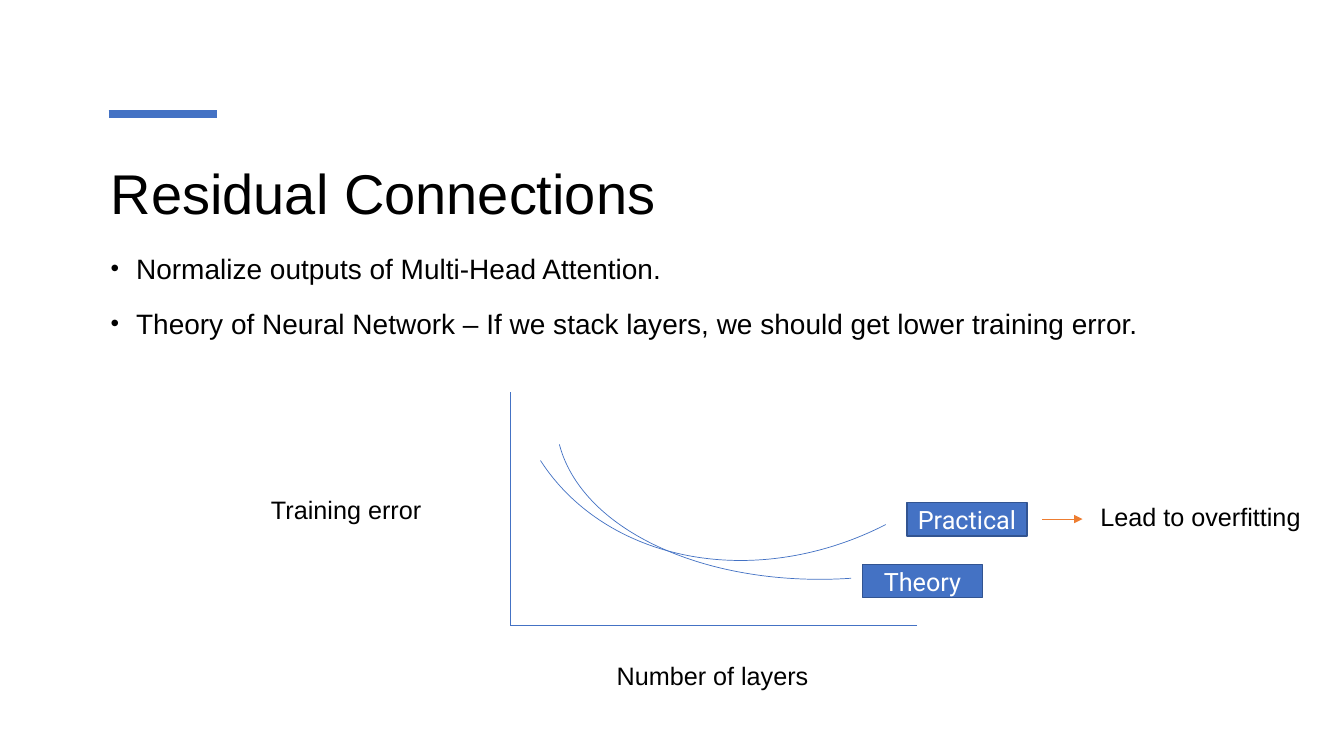
from lxml import etree
from pptx import Presentation
from pptx.dml.color import RGBColor
from pptx.enum.shapes import MSO_CONNECTOR, MSO_SHAPE
from pptx.enum.text import MSO_ANCHOR, PP_ALIGN
from pptx.oxml.ns import qn
from pptx.util import Cm, Pt

BLUE = RGBColor(0x44, 0x72, 0xC4)
DARK_BLUE = RGBColor(0x32, 0x54, 0x91)
ORANGE = RGBColor(0xED, 0x7D, 0x31)
BLACK = RGBColor(0, 0, 0)
WHITE = RGBColor(0xFF, 0xFF, 0xFF)


def add_run(paragraph, words, size, color=BLACK, font="Arial"):
    run = paragraph.add_run()
    run.text = words
    run.font.size = Pt(size)
    run.font.name = font
    run.font.color.rgb = color


def add_line(slide, x1, y1, x2, y2, color=BLUE, weight=0.5):
    line = slide.shapes.add_connector(
        MSO_CONNECTOR.STRAIGHT, Cm(x1), Cm(y1), Cm(x2), Cm(y2))
    line.line.color.rgb = color
    line.line.width = Pt(weight)
    etree.SubElement(line._element.spPr, qn("a:effectLst"))
    return line


def add_caption(slide, x, y, width, words):
    caption = slide.shapes.add_textbox(Cm(x), Cm(y), Cm(width), Cm(1.02))
    caption.text_frame.word_wrap = False
    add_run(caption.text_frame.paragraphs[0], words, 18)


def add_curve(slide, x, y, width, height, rotation):
    curve = slide.shapes.add_shape(
        MSO_SHAPE.ARC, Cm(x), Cm(y), Cm(width), Cm(height))
    curve.adjustments[0] = 162
    curve.adjustments[1] = 213.63
    curve.rotation = rotation
    curve.shadow.inherit = False
    curve.fill.background()
    curve.line.color.rgb = BLUE
    curve.line.width = Pt(0.5)


def add_curve_label(slide, x, y, words):
    label = slide.shapes.add_shape(
        MSO_SHAPE.RECTANGLE, Cm(x), Cm(y), Cm(3.02), Cm(0.84))
    label.shadow.inherit = False
    label.fill.solid()
    label.fill.fore_color.rgb = BLUE
    label.line.color.rgb = DARK_BLUE
    label.line.width = Pt(1)
    label.text_frame.vertical_anchor = MSO_ANCHOR.MIDDLE
    paragraph = label.text_frame.paragraphs[0]
    paragraph.alignment = PP_ALIGN.CENTER
    add_run(paragraph, words, 18, WHITE, "Roboto")


def build_heading(slide, left, top, width, height):
    # Accent bar above the title
    add_line(slide, left + 0.2, top - 0.94, left + 2.92, top - 0.94, weight=6)
    title = slide.shapes.title
    title.left, title.top = Cm(left), Cm(top)
    title.width, title.height = Cm(width), Cm(height)
    title.text_frame.vertical_anchor = MSO_ANCHOR.MIDDLE
    paragraph = title.text_frame.paragraphs[0]
    paragraph.alignment = PP_ALIGN.LEFT
    add_run(paragraph, "Residual Connections", 40)


def build_bullets(slide, left, top, width, height, points):
    body = slide.shapes.add_textbox(Cm(left), Cm(top), Cm(width), Cm(height))
    frame = body.text_frame
    frame.word_wrap = True
    for index, point in enumerate(points):
        paragraph = frame.add_paragraph() if index else frame.paragraphs[0]
        paragraph.line_spacing = 1.2
        paragraph.space_before = Pt(10)
        properties = paragraph._p.get_or_add_pPr()
        properties.set("marL", str(Cm(0.64)))
        properties.set("indent", str(Cm(-0.64)))
        etree.SubElement(properties, qn("a:buSzPct"), val="87000")
        etree.SubElement(properties, qn("a:buFont"), typeface="Arial")
        etree.SubElement(properties, qn("a:buChar"), char="•")
        add_run(paragraph, point, 20)


def build_error_diagram(slide, left, top):
    # Axes and their captions
    axis_x, axis_y = left + 6.27, top + 5.89
    add_line(slide, axis_x, top, axis_x, axis_y)
    add_line(slide, axis_x + 10.26, axis_y, axis_x, axis_y)
    add_caption(slide, left + 8.71, top + 6.63, 5.36, "Number of layers")
    add_caption(slide, left, top + 2.44, 4.34, "Training error")

    # Practical and theoretical error curves
    add_curve(slide, left + 6.02, top - 7.8, 14.05, 11.79, 152.8)
    add_curve(slide, left + 7.42, top - 4.01, 14.3, 8.71, 176.1)
    add_curve_label(slide, left + 15.16, top + 4.34, "Theory")
    add_curve_label(slide, left + 16.28, top + 2.79, "Practical")

    # Consequence of the practical curve
    arrow = add_line(slide, left + 19.68, top + 3.2, left + 20.7, top + 3.2, ORANGE)
    etree.SubElement(arrow.line._get_or_add_ln(), qn("a:tailEnd"), type="triangle")
    add_caption(slide, left + 20.9, top + 2.62, 5.59, "Lead to overfitting")


presentation = Presentation()
presentation.slide_width, presentation.slide_height = Cm(33.87), Cm(19.05)
slide = presentation.slides.add_slide(presentation.slide_layouts.get_by_name("Title Only"))

build_heading(slide, 2.54, 3.81, 28.78, 2.06)
build_bullets(slide, 2.54, 6.05, 28.78, 10.62, [
    "Normalize outputs of Multi-Head Attention.",
    "Theory of Neural Network – If we stack layers, we should get lower training error.",
])
build_error_diagram(slide, 6.58, 9.88)

presentation.save("out.pptx")
